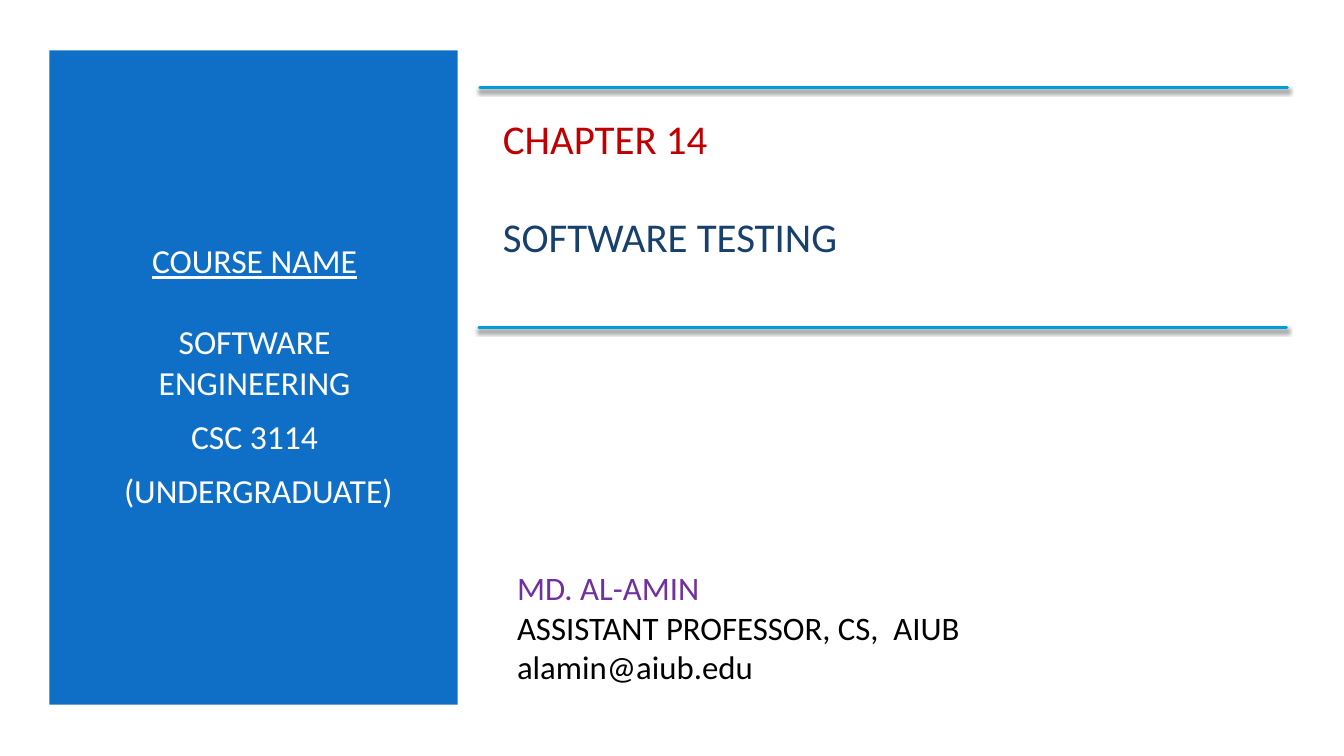
"""Build the title slide of the software testing chapter."""
from lxml.etree import SubElement
from pptx import Presentation
from pptx.dml.color import RGBColor
from pptx.enum.shapes import MSO_CONNECTOR, MSO_SHAPE
from pptx.enum.text import MSO_ANCHOR, PP_ALIGN
from pptx.oxml.ns import qn
from pptx.util import Inches, Pt

COLORS = {"panel": "0F6FC6", "rule": "009DD9", "white": "FFFFFF", "chapter": "C00000",
          "topic": "17406D", "name": "7030A0", "black": "000000"}


def add_block(box, size, align, lines):
    frame = slide.shapes.add_textbox(*map(Inches, box)).text_frame
    frame.word_wrap = True
    frame.vertical_anchor = MSO_ANCHOR.MIDDLE
    for index, (text, color, underline, before, after) in enumerate(lines):
        line = frame.paragraphs[0] if index == 0 else frame.add_paragraph()
        line.alignment = align
        line.space_before, line.space_after = Pt(before), Pt(after)
        run = line.add_run()
        run.text = text
        run.font.name, run.font.size = "Calibri", Pt(size)
        run.font.underline = underline
        run.font.color.rgb = RGBColor.from_string(COLORS[color])


def add_rule(left, top):
    rule = slide.shapes.add_connector(
        MSO_CONNECTOR.STRAIGHT, Inches(left), Inches(top), Inches(left + 8.01), Inches(top))
    rule.line.color.rgb = RGBColor.from_string(COLORS["rule"])
    rule.line.width = Pt(2)
    rule.line._get_or_add_ln().set("cap", "rnd")
    effects = SubElement(rule._element.spPr, qn("a:effectLst"))
    shadow = SubElement(effects, qn("a:outerShdw"), blurRad=str(Pt(3)), dist=str(Pt(2)),
                        dir="5400000", rotWithShape="0")
    tint = SubElement(shadow, qn("a:srgbClr"), val=COLORS["black"])
    SubElement(tint, qn("a:alpha"), val="55000")


prs = Presentation()
prs.slide_width, prs.slide_height = Inches(13.33), Inches(7.5)
slide = prs.slides.add_slide(prs.slide_layouts[6])
slide.background.fill.solid()
slide.background.fill.fore_color.rgb = RGBColor.from_string(COLORS["white"])

course_panel = slide.shapes.add_shape(
    MSO_SHAPE.RECTANGLE, Inches(0.49), Inches(0.5), Inches(4.05), Inches(6.49))
course_panel.shadow.inherit = False
course_panel.fill.solid()
course_panel.fill.fore_color.rgb = RGBColor.from_string(COLORS["panel"])
course_panel.line.fill.background()

add_block((0.84, 1.1, 3.37, 5.25), 24, PP_ALIGN.CENTER, [
    ("COURSE NAME", "white", True, 4, 25),
    ("SOFTWARE ENGINEERING", "white", False, 4, 6),
    ("CSC 3114", "white", False, 4, 6),
    (" (UNDERGRADUATE)", "white", False, 4, 6),
])
add_block((4.89, 1.1, 7.85, 1.51), 29.2, PP_ALIGN.LEFT, [
    ("CHAPTER 14", "chapter", False, 0, 35),
    ("SOFTWARE TESTING", "topic", False, 0, 0),
])
for left, top in ((4.76, 0.87), (4.75, 3.25)):
    add_rule(left, top)
add_block((5.03, 5.44, 6.66, 1.56), 23.4, PP_ALIGN.LEFT, [
    ("MD. AL-AMIN", "name", False, 0, 0),
    ("ASSISTANT PROFESSOR, CS,  AIUB", "black", False, 0, 0),
    ("alamin@aiub.edu", "black", False, 0, 0),
])

prs.save("out.pptx")
